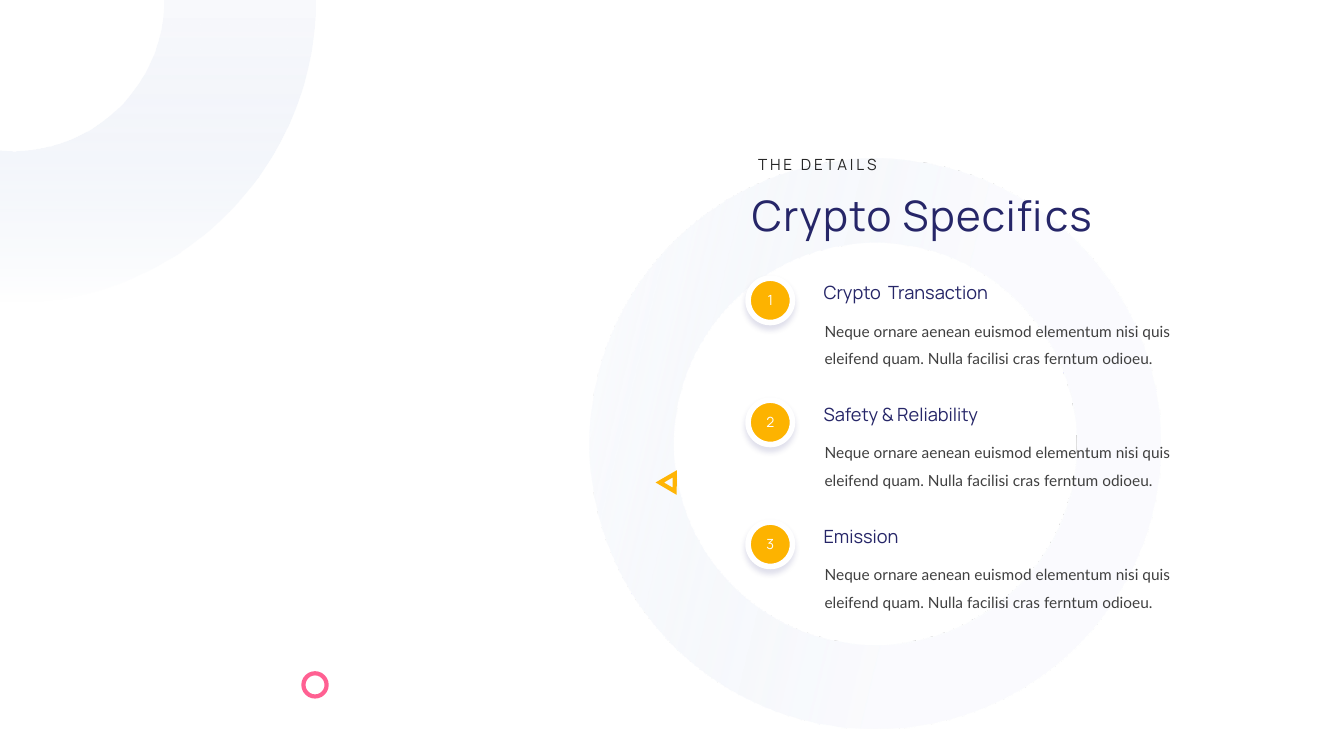
from math import cos, pi, sin

from lxml.etree import SubElement
from pptx import Presentation
from pptx.dml.color import RGBColor
from pptx.enum.shapes import MSO_SHAPE
from pptx.enum.text import MSO_ANCHOR, MSO_AUTO_SIZE, PP_ALIGN
from pptx.oxml import parse_xml
from pptx.oxml.ns import nsdecls, qn
from pptx.util import Inches, Pt

COLORS = {
    "pale": "F9FAFD", "mist": "DAE3F3", "pink": "FF6092", "gold": "FFB506",
    "badge": "FDB300", "white": "FFFFFF", "shade": "2D2D7D",
    "navy": "262668", "body": "404040", "label": "262626",
}
RGB = {name: RGBColor.from_string(value) for name, value in COLORS.items()}

prs = Presentation()
prs.slide_width, prs.slide_height = Inches(13.33), Inches(7.5)
slide = prs.slides.add_slide(prs.slide_layouts[6])


def add_shape(kind, left, top, width, height, fill=None, line=None, weight=3):
    s = slide.shapes.add_shape(kind, Inches(left), Inches(top), Inches(width), Inches(height))
    s.shadow.inherit = False
    if fill:
        s.fill.solid()
        s.fill.fore_color.rgb = RGB[fill]
    else:
        s.fill.background()
    if line:
        s.line.color.rgb = RGB[line]
        s.line.width = Pt(weight)
    else:
        s.line.fill.background()
    return s


def add_text(text, left, top, width, height, font, size, color, spacing=0, leading=None):
    s = slide.shapes.add_textbox(Inches(left), Inches(top), Inches(width), Inches(height))
    tf = s.text_frame
    tf.word_wrap = True
    tf.auto_size = MSO_AUTO_SIZE.SHAPE_TO_FIT_TEXT
    tf.text = text
    p = tf.paragraphs[0]
    if leading:
        p.line_spacing = leading
    r = p.runs[0]
    r.font.name, r.font.size = font, Pt(size)
    r.font.color.rgb = RGB[color]
    if spacing:
        r.font._element.set("spc", str(spacing * 100))


center_x, outer, inner, steps = 0.13, 3, 1.5, 60
angles = [pi / 2 * i / steps for i in range(steps + 1)]
edge = [(center_x + outer * cos(a), outer * sin(a)) for a in angles]
edge += [(0, 2.99), (0, 1.49)]
edge += [(center_x + inner * cos(a), inner * sin(a)) for a in reversed(angles)]
points = [(Inches(x), Inches(y)) for x, y in edge]
builder = slide.shapes.build_freeform(*points[0])
builder.add_line_segments(points[1:])
corner_ring = builder.convert_to_shape()
corner_ring.shadow.inherit = False
corner_ring.line.fill.background()

big_ring = add_shape(MSO_SHAPE.DONUT, 5.85, 1.57, 5.66, 5.66)
big_ring.adjustments[0] = 0.148
big_ring.rotation = 103.3

for s, start, alpha in [(corner_ring, 0, 100), (big_ring, 41, 72)]:
    s.fill.background()
    spPr = s.element.spPr
    gradient = parse_xml(
        f'<a:gradFill {nsdecls("a")} rotWithShape="1"><a:gsLst>'
        f'<a:gs pos="{start * 1000}"><a:srgbClr val="{COLORS["pale"]}">'
        f'<a:alpha val="{alpha * 1000}"/></a:srgbClr></a:gs>'
        f'<a:gs pos="100000"><a:srgbClr val="{COLORS["mist"]}">'
        '<a:alpha val="0"/></a:srgbClr></a:gs>'
        '</a:gsLst><a:lin ang="5400000" scaled="0"/></a:gradFill>')
    spPr.replace(spPr.find(qn("a:noFill")), gradient)

add_shape(MSO_SHAPE.OVAL, 3.01, 6.68, 0.23, 0.23, line="pink")
triangle = add_shape(MSO_SHAPE.ISOSCELES_TRIANGLE, 6.57, 4.69, 0.17, 0.15, line="gold")
triangle.rotation = 30.4
SubElement(triangle.element.spPr.find(qn("a:ln")), qn("a:miter"), lim="800000")

add_text("THE DETAILS", 7.42, 1.49, 2.1, 0.29, "Manrope", 11, "label", spacing=2)
add_text("Crypto Specifics", 7.36, 1.83, 4.05, 0.61, "Manrope", 30, "navy", spacing=1)

detail = ("Neque ornare aenean euismod elementum nisi quis "
          "eleifend quam. Nulla facilisi cras ferntum odioeu.")
headings = ["Crypto  Transaction", "Safety & Reliability", "Emission"]
for i, heading in enumerate(headings):
    top = 2.76 + 1.21 * i
    badge = add_shape(MSO_SHAPE.OVAL, 7.42, top, 0.44, 0.44, "badge", "white", 4)
    effects = badge.element.spPr.find(qn("a:effectLst"))
    shadow = SubElement(effects, qn("a:outerShdw"), blurRad=str(Pt(4)), dist=str(Pt(3)),
                        dir="5400000", algn="t", rotWithShape="0")
    shade = SubElement(shadow, qn("a:srgbClr"), val=COLORS["shade"])
    SubElement(shade, qn("a:alpha"), val="14000")
    tf = badge.text_frame
    tf.margin_left = tf.margin_right = tf.margin_top = tf.margin_bottom = 0
    tf.vertical_anchor = MSO_ANCHOR.MIDDLE
    tf.text = str(i + 1)
    p = tf.paragraphs[0]
    p.alignment = PP_ALIGN.CENTER
    r = p.runs[0]
    r.font.name, r.font.size = "Manrope", Pt(10)
    r.font.color.rgb = RGB["white"]
    add_text(detail, 8.08, top + 0.29, 3.89, 0.62, "Lato", 11, "body", leading=1.5)
    add_text(heading, 8.07, top - 0.02, 2.71, 0.32, "Manrope", 13, "navy")

prs.save("out.pptx")
